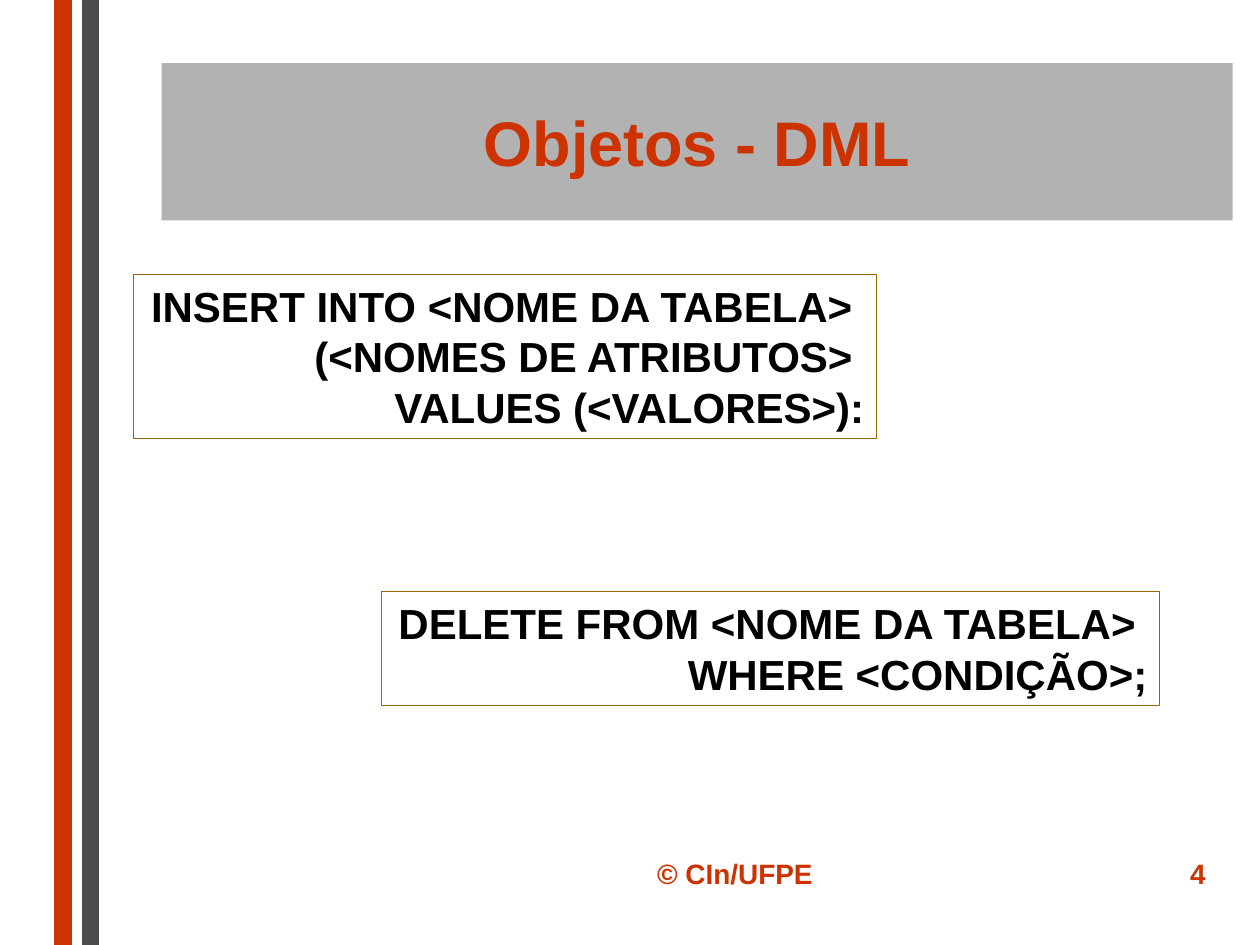
import pptx
import pptx.dml.color
import pptx.enum.shapes
import pptx.enum.text
import pptx.oxml
import pptx.util

Pt = pptx.util.Pt
ALIGN = pptx.enum.text.PP_ALIGN
COLORS = {
    "red": "CC3300",
    "dark": "4D4D4D",
    "band": "B2B2B2",
    "border": "996600",
    "black": "000000",
}


def rgb(name):
    """Return the named colour."""
    return pptx.dml.color.RGBColor.from_string(COLORS[name])


def add_stripe(s, x, color):
    """Draw a full-height vertical stripe centred on x."""
    line = s.shapes.add_connector(
        pptx.enum.shapes.MSO_CONNECTOR.STRAIGHT, Pt(x), Pt(0), Pt(x), Pt(540))
    line.line.color.rgb = rgb(color)
    line.line.width = Pt(9.75)
    line._element.spPr.append(pptx.oxml.parse_xml(
        '<a:effectLst xmlns:a="http://schemas.openxmlformats.org/drawingml/2006/main"/>'))


def add_text(s, box, lines, size, color, align, before=0):
    """Add a text box with bold Arial paragraphs."""
    sp = s.shapes.add_textbox(*map(Pt, box))
    tf = sp.text_frame
    tf.word_wrap = True
    tf.text = "\n".join(lines)
    for p in tf.paragraphs:
        p.alignment = align
        p.space_before = Pt(before)
        for r in p.runs:
            r.font.name = "Arial"
            r.font.size = Pt(size)
            r.font.bold = True
            r.font.color.rgb = rgb(color)
    return sp


def add_title(s, text):
    """Add the title on its filled band."""
    sp = add_text(s, (92.4, 36, 612, 90), [text], 36, "red", ALIGN.CENTER)
    sp.fill.solid()
    sp.fill.fore_color.rgb = rgb("band")
    sp.text_frame.vertical_anchor = pptx.enum.text.MSO_ANCHOR.MIDDLE


def add_statement(s, box, lines):
    """Add a framed SQL statement."""
    sp = add_text(s, box, lines, 24, "black", ALIGN.RIGHT)
    sp.line.color.rgb = rgb("border")
    sp.line.width = Pt(0.75)
    sp.text_frame.word_wrap = False
    sp.text_frame.auto_size = pptx.enum.text.MSO_AUTO_SIZE.SHAPE_TO_FIT_TEXT


def add_footer(s, x, width, text, align):
    """Add one footer entry."""
    add_text(s, (x, 486, width, 36), [text], 16, "red", align, before=10)


def main():
    """Build the slide and save it."""
    prs = pptx.Presentation()
    prs.slide_width, prs.slide_height = Pt(720), Pt(540)
    s = prs.slides.add_slide(prs.slide_layouts[6])
    add_stripe(s, 36, "red")
    add_stripe(s, 51.75, "dark")
    add_title(s, "Objetos - DML")
    add_statement(s, (76.2, 156.75, 424.8, 93.8), [
        "INSERT INTO <NOME DA TABELA> ",
        "(<NOMES DE ATRIBUTOS> ",
        "VALUES (<VALORES>):",
    ])
    add_statement(s, (218, 338, 444.8, 65), [
        "DELETE FROM <NOME DA TABELA> ",
        " WHERE <CONDIÇÃO>;",
    ])
    add_footer(s, 306, 228, "© CIn/UFPE", ALIGN.CENTER)
    add_footer(s, 546, 150, "4", ALIGN.RIGHT)
    prs.save("out.pptx")


if __name__ == "__main__":
    main()
